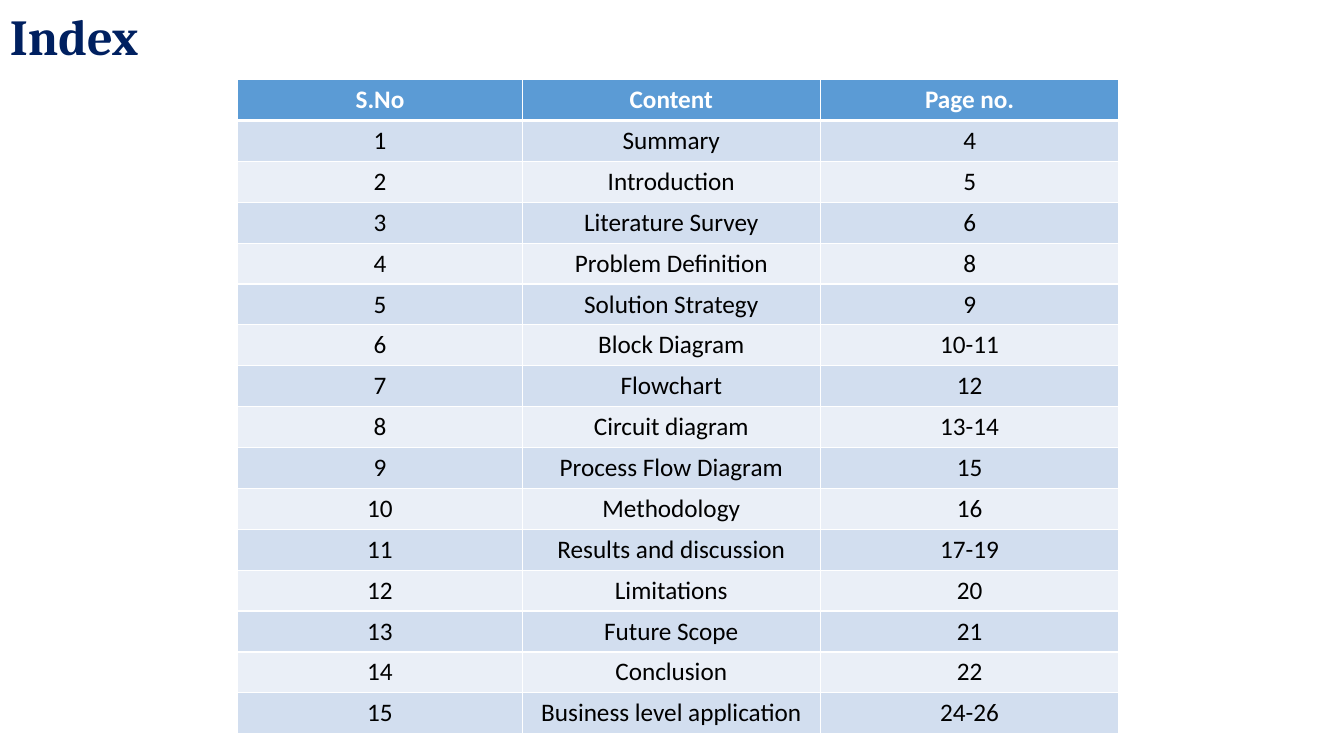
from dataclasses import dataclass

from lxml import etree
from pptx import Presentation
from pptx.dml.color import RGBColor
from pptx.enum.text import MSO_AUTO_SIZE, PP_ALIGN
from pptx.oxml.ns import qn
from pptx.util import Inches, Pt

CENTER = PP_ALIGN.CENTER
FIT_SHAPE = MSO_AUTO_SIZE.SHAPE_TO_FIT_TEXT

SLIDE_WIDTH, SLIDE_HEIGHT = Inches(13.333), Inches(7.5)
NAVY, BLUE, WHITE, BLACK = "002060", "5B9BD5", "FFFFFF", "000000"
BANDS = ("D2DEEF", "EAEFF7")

# Table grid, in inches
TABLE_LEFT, TABLE_TOP, TABLE_HEIGHT = 2.36, 0.79, 6.49
COLUMN_WIDTHS = (2.82, 2.96, 2.96)


@dataclass(frozen=True)
class Entry:
    content: str
    pages: str


HEADINGS = ("S.No", "Content", "Page no.")
ENTRIES = (
    Entry("Summary", "4"),
    Entry("Introduction", "5"),
    Entry("Literature Survey", "6"),
    Entry("Problem Definition", "8"),
    Entry("Solution Strategy", "9"),
    Entry("Block Diagram", "10-11"),
    Entry("Flowchart", "12"),
    Entry("Circuit diagram", "13-14"),
    Entry("Process Flow Diagram", "15"),
    Entry("Methodology", "16"),
    Entry("Results and discussion", "17-19"),
    Entry("Limitations", "20"),
    Entry("Future Scope", "21"),
    Entry("Conclusion", "22"),
    Entry("Business level application", "24-26"),
)


def color(value: str) -> RGBColor:
    return RGBColor.from_string(value)


def style_paragraph(paragraph, family: str, size: float, ink: str, bold: bool) -> None:
    font = paragraph.font
    font.name, font.size, font.bold = family, Pt(size), bold
    font.color.rgb = color(ink)


def add_border(cell, side: str, points: float) -> None:
    properties = cell._tc.get_or_add_tcPr()
    line = etree.SubElement(properties, qn(f"a:{side}"), w=str(Pt(points)))
    fill = etree.SubElement(line, qn("a:solidFill"))
    etree.SubElement(fill, qn("a:srgbClr"), val=WHITE)


def fill_cell(cell, text: str, row: int) -> None:
    header = row == 0
    # Borders come before the fill; the rule under the header is thicker
    widths = {"lnL": 1, "lnR": 1, "lnT": 3 if row == 1 else 1, "lnB": 3 if header else 1}
    for side, points in widths.items():
        add_border(cell, side, points)
    cell.fill.solid()
    cell.fill.fore_color.rgb = color(BLUE if header else BANDS[(row - 1) % 2])
    cell.text = text
    paragraph = cell.text_frame.paragraphs[0]
    paragraph.alignment = CENTER
    style_paragraph(paragraph, "Calibri", 18, WHITE if header else BLACK, header)


def add_title(page, text: str) -> None:
    box = page.shapes.add_textbox(0, 0, Inches(4.07), Inches(0.71))
    frame = box.text_frame
    frame.word_wrap = True
    frame.auto_size = FIT_SHAPE
    frame.text = text
    style_paragraph(frame.paragraphs[0], "Cambria", 36, NAVY, True)


def add_index(page) -> None:
    rows = [HEADINGS]
    rows += [(str(number), entry.content, entry.pages)
             for number, entry in enumerate(ENTRIES, start=1)]
    table = page.shapes.add_table(
        len(rows), len(HEADINGS), Inches(TABLE_LEFT), Inches(TABLE_TOP),
        Inches(sum(COLUMN_WIDTHS)), Inches(TABLE_HEIGHT)).table
    for column, width in zip(table.columns, COLUMN_WIDTHS):
        column.width = Inches(width)
    for row, texts in enumerate(rows):
        for column, text in enumerate(texts):
            fill_cell(table.cell(row, column), text, row)


def main() -> None:
    deck = Presentation()
    deck.slide_width, deck.slide_height = SLIDE_WIDTH, SLIDE_HEIGHT
    page = deck.slides.add_slide(deck.slide_layouts[6])
    add_title(page, "Index")
    add_index(page)
    deck.save("out.pptx")


if __name__ == "__main__":
    main()
